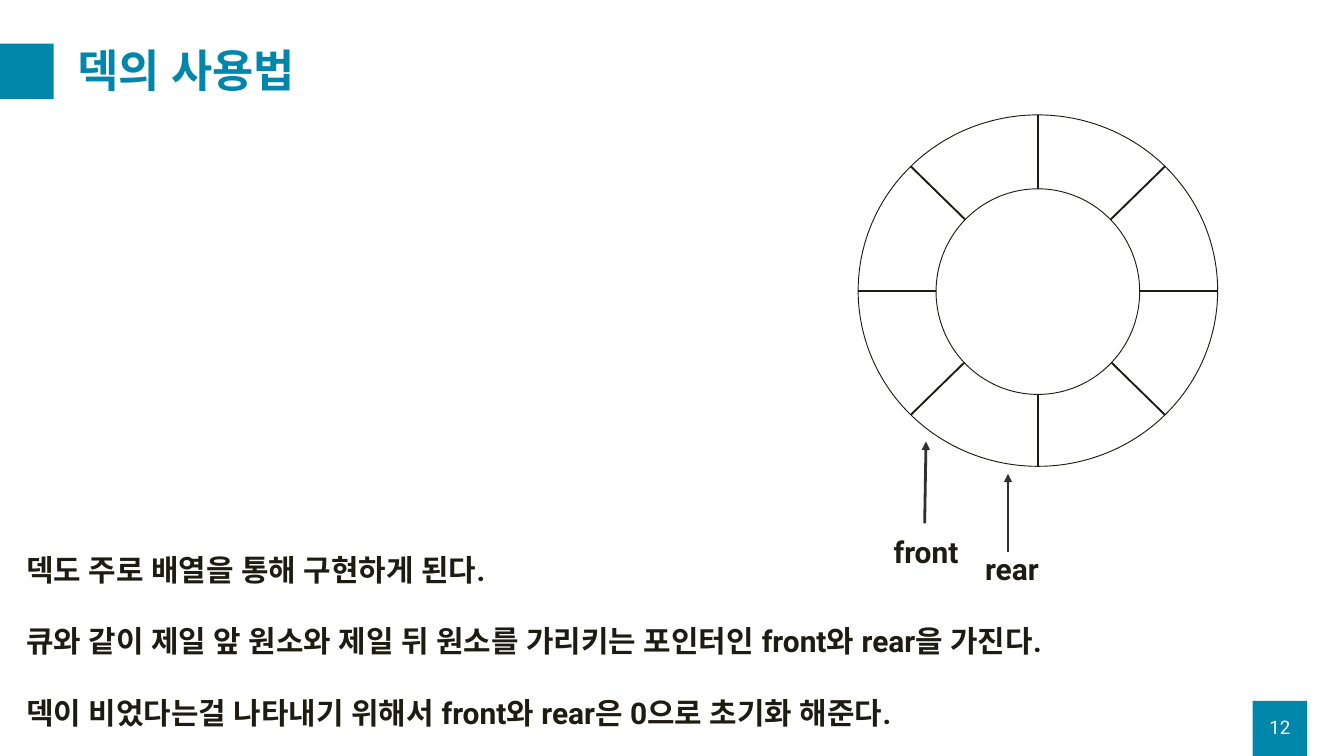
import math
import pptx
import pptx.util
import pptx.dml.color
import pptx.enum.shapes
import pptx.enum.text
import pptx.oxml
import pptx.oxml.ns

Inches, Pt = pptx.util.Inches, pptx.util.Pt
SHAPE = pptx.enum.shapes.MSO_SHAPE
ALIGN = pptx.enum.text.PP_ALIGN
ANCHOR = pptx.enum.text.MSO_ANCHOR

FONT = "Roboto"
TEAL, INK, GREY, WHITE = "0086AB", "1E1C11", "303030", "FFFFFF"


def color(code):
    return pptx.dml.color.RGBColor.from_string(code)


def add_tag(parent, tag, **attrs):
    node = pptx.oxml.parse_xml(f"<a:{tag} {pptx.oxml.ns.nsdecls('a')}/>")
    for name, value in attrs.items():
        node.set(name, value)
    parent.append(node)


def add_text(slide, box, lines, size, tint, bold=True, align=ALIGN.LEFT,
             anchor=ANCHOR.TOP, wrap=True, gap=0):
    frame = slide.shapes.add_textbox(*map(Inches, box)).text_frame
    frame.word_wrap = wrap
    frame.vertical_anchor = anchor
    frame.text = "\n".join(lines)
    for para in frame.paragraphs:
        para.alignment = align
        para.space_after = Pt(gap)
        for run in para.runs:
            font = run.font
            font.name, font.size, font.bold = FONT, Pt(size), bold
            font.color.rgb = color(tint)
            # Same typeface for the Korean letters
            add_tag(run._r.get_or_add_rPr(), "ea", typeface=FONT)
    return frame


def add_shape(shapes, kind, box, fill=None, line=None):
    shape = shapes.add_shape(kind, *map(Inches, box))
    shape.shadow.inherit = False
    if fill:
        shape.fill.solid()
        shape.fill.fore_color.rgb = color(fill)
    else:
        shape.fill.background()
    if line:
        shape.line.color.rgb = color(line)
        shape.line.width = Pt(1)
    else:
        shape.line.fill.background()


def add_line(shapes, start, end, tint, width, arrow=False):
    line = shapes.add_connector(pptx.enum.shapes.MSO_CONNECTOR.STRAIGHT,
                                *map(Inches, (*start, *end)))
    line.line.color.rgb = color(tint)
    line.line.width = Pt(width)
    if arrow:
        add_tag(line.line._get_or_add_ln(), "headEnd", type="triangle")
    add_tag(line._element.spPr, "effectLst")


def add_title(slide, box, text):
    left, top, width, height = box
    add_shape(slide.shapes, SHAPE.RECTANGLE, (-0.01, 0.65, 0.81, 0.82), TEAL)
    frame = add_text(slide, (left, top, width, height), [text], 48, TEAL,
                     anchor=ANCHOR.MIDDLE)
    frame.paragraphs[0].line_spacing = 0.9


def add_number(slide, box, text):
    left, top, width, height = box
    add_shape(slide.shapes, SHAPE.RECTANGLE, box, TEAL)
    add_text(slide, (left, top + 0.09, width, 0.6), [text], 20, WHITE,
             bold=False, align=ALIGN.CENTER, anchor=ANCHOR.MIDDLE)


def add_ring(slide, box, hole):
    left, top, width, height = box
    shapes = slide.shapes.add_group_shape().shapes
    mid_x, mid_y = left + width / 2, top + height / 2
    # Four diameters cut the ring into eight cells
    for step in range(4):
        angle = step * math.pi / 4
        dx = width / 2 * math.cos(angle)
        dy = height / 2 * math.sin(angle)
        add_line(shapes, (mid_x + dx, mid_y - dy), (mid_x - dx, mid_y + dy),
                 INK, 2)
    add_shape(shapes, SHAPE.OVAL, box, line=INK)
    add_shape(shapes, SHAPE.OVAL, hole, WHITE, INK)


def add_pointer(slide, box, name, tip, end):
    add_line(slide.shapes, tip, end, GREY, 3, arrow=True)
    add_text(slide, box, [name], 32, INK, wrap=False)


def main():
    deck = pptx.Presentation()
    deck.slide_width, deck.slide_height = Inches(20), Inches(11.25)
    slide = deck.slides.add_slide(deck.slide_layouts[6])

    # Title and page number
    add_title(slide, (1.06, 0.5, 18.25, 1.18), "덱의 사용법")
    add_number(slide, (18.64, 10.43, 0.81, 0.82), "12")

    # Explanation
    add_text(slide, (0.29, 8.16, 19.16, 2.79), [
        "덱도 주로 배열을 통해 구현하게 된다.",
        "큐와 같이 제일 앞 원소와 제일 뒤 원소를 가리키는 포인터인 front와 rear을 가진다.",
        "덱이 비었다는걸 나타내기 위해서 front와 rear은 0으로 초기화 해준다.",
    ], 32, INK, gap=38)

    # Circular array with its two pointers
    add_ring(slide, (12.77, 1.71, 5.35, 5.23), (13.93, 2.81, 3.03, 3.06))
    add_pointer(slide, (13.2, 7.89, 1.36, 0.64), "front",
                (13.78, 6.57), (13.76, 7.79))
    add_pointer(slide, (14.56, 8.15, 1.36, 0.64), "rear",
                (15, 7.05), (15, 8.21))

    deck.save("out.pptx")


if __name__ == "__main__":
    main()
